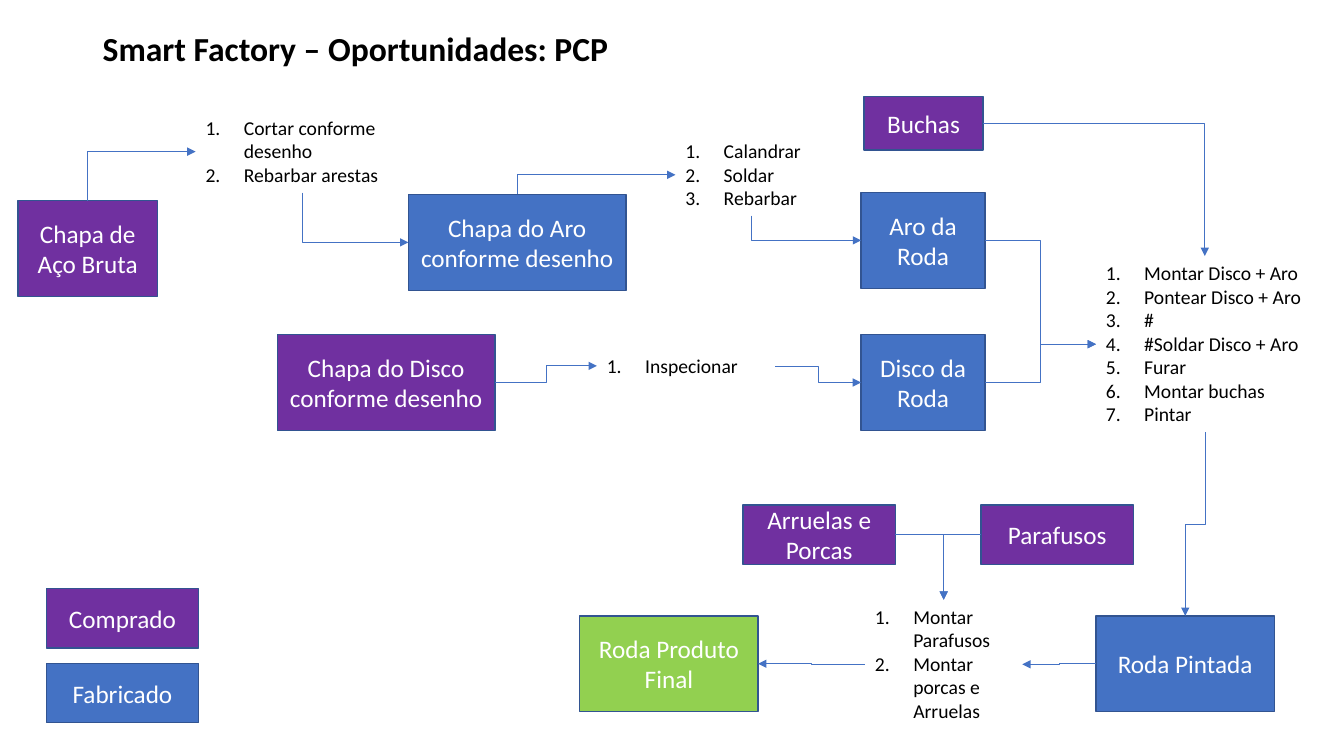
import pptx
import pptx.util
import pptx.dml.color
import pptx.enum.shapes
import pptx.enum.text
import pptx.oxml
import pptx.oxml.ns

Inches, Pt = pptx.util.Inches, pptx.util.Pt
TOP, LEFT, BOTTOM, RIGHT = range(4)

COLORS = {
    "bought": "7030A0",
    "made": "4472C4",
    "final": "92D050",
    "border": "325491",
    "arrow": "4472C4",
    "white": "FFFFFF",
    "black": "000000",
}

# name: (text, kind, left, top, width, height)
BOXES = {
    "raw": ("Chapa de Aço Bruta", "bought", 0.18, 1.99, 1.38, 0.95),
    "rim_plate": ("Chapa do Aro conforme desenho", "made", 4.05, 1.93, 2.16, 0.95),
    "rim": ("Aro da Roda", "made", 8.54, 1.91, 1.23, 0.95),
    "disc_plate": ("Chapa do Disco conforme desenho", "bought", 2.75, 3.32, 2.16, 0.95),
    "disc": ("Disco da Roda", "made", 8.54, 3.32, 1.23, 0.95),
    "painted": ("Roda Pintada", "made", 10.87, 6.11, 1.77, 0.95),
    "product": ("Roda Produto Final", "final", 5.75, 6.11, 1.77, 0.95),
    "screws": ("Parafusos", "bought", 9.73, 5.01, 1.51, 0.59),
    "washers": ("Arruelas e Porcas", "bought", 7.37, 5.01, 1.51, 0.59),
    "bushings": ("Buchas", "bought", 8.57, 0.96, 1.18, 0.53),
    "legend_bought": ("Comprado", "bought", 0.46, 5.84, 1.51, 0.59),
    "legend_made": ("Fabricado", "made", 0.46, 6.58, 1.51, 0.59),
}

# name: (steps, left, top, width, height)
STEPS = {
    "cut": (["Cortar conforme desenho", "Rebarbar arestas"], 1.94, 1.1, 2.12, 0.81),
    "roll": (["Calandrar", "Soldar", "Rebarbar"], 6.7, 1.33, 1.5, 0.81),
    "inspect": (["Inspecionar"], 5.92, 3.46, 1.77, 0.34),
    "weld": (["Montar Disco + Aro", "Pontear Disco + Aro", "#", "#Soldar Disco + Aro",
              "Furar", "Montar buchas", "Pintar"], 10.87, 2.54, 2.16, 1.75),
    "assemble": (["Montar Parafusos", "Montar porcas e Arruelas"], 8.58, 5.95, 1.56, 1.28),
}

# (from, side, to, side)
FLOWS = [
    ("raw", TOP, "cut", LEFT),
    ("cut", BOTTOM, "rim_plate", LEFT),
    ("rim_plate", TOP, "roll", LEFT),
    ("roll", BOTTOM, "rim", LEFT),
    ("disc_plate", RIGHT, "inspect", LEFT),
    ("inspect", RIGHT, "disc", LEFT),
    ("rim", RIGHT, "weld", LEFT),
    ("disc", RIGHT, "weld", LEFT),
    ("bushings", RIGHT, "weld", TOP),
    ("weld", BOTTOM, "painted", TOP),
    ("painted", LEFT, "assemble", RIGHT),
    ("screws", LEFT, "assemble", TOP),
    ("washers", RIGHT, "assemble", TOP),
    ("assemble", LEFT, "product", RIGHT),
]


def rgb(name):
    return pptx.dml.color.RGBColor.from_string(COLORS[name])


def write(p, text, color, **formats):
    r = p.add_run()
    r.text = text
    r.font.color.rgb = rgb(color)
    for key, value in {"name": "Calibri", **formats}.items():
        setattr(r.font, key, value)


def add_box(s, text, kind, *at):
    sp = s.shapes.add_shape(pptx.enum.shapes.MSO_SHAPE.RECTANGLE, *map(Inches, at))
    sp.shadow.inherit = False
    sp.fill.solid()
    sp.fill.fore_color.rgb = rgb(kind)
    sp.line.color.rgb = rgb("border")
    sp.line.width = Pt(1)
    tf = sp.text_frame
    tf.word_wrap = True
    tf.vertical_anchor = pptx.enum.text.MSO_ANCHOR.MIDDLE
    p = tf.paragraphs[0]
    p.alignment = pptx.enum.text.PP_ALIGN.CENTER
    write(p, text, "white", size=Pt(18))
    return sp


def add_text(s, lines, *at, numbered=False, **formats):
    sp = s.shapes.add_textbox(*map(Inches, at))
    tf = sp.text_frame
    tf.word_wrap = True
    tf.auto_size = pptx.enum.text.MSO_AUTO_SIZE.SHAPE_TO_FIT_TEXT
    for i, line in enumerate(lines):
        p = tf.add_paragraph() if i else tf.paragraphs[0]
        write(p, line, "black", **formats)
        if numbered:
            pPr = p._p.get_or_add_pPr()
            pPr.set("marL", str(Inches(0.38)))
            pPr.set("indent", str(-Inches(0.38)))
            add_xml(pPr, "buAutoNum", type="arabicPeriod")
    return sp


def add_xml(parent, tag, **attributes):
    child = pptx.oxml.parse_xml(f"<a:{tag} {pptx.oxml.ns.nsdecls('a')}/>")
    for key, value in attributes.items():
        child.set(key, value)
    parent.append(child)


def add_flow(s, start, start_side, end, end_side):
    cx = s.shapes.add_connector(pptx.enum.shapes.MSO_CONNECTOR.ELBOW, 0, 0, 0, 0)
    cx.begin_connect(start, start_side)
    cx.end_connect(end, end_side)
    cx.line.color.rgb = rgb("arrow")
    cx.line.width = Pt(0.5)
    add_xml(cx.line._get_or_add_ln(), "tailEnd", type="triangle")
    spPr = cx._element.spPr
    add_xml(spPr, "effectLst")

    # One bend when the two sides are perpendicular
    if start_side % 2 != end_side % 2:
        spPr.find(pptx.oxml.ns.qn("a:prstGeom")).set("prst", "bentConnector2")
    # A route that leaves vertically is a turned horizontal one
    if start_side in (TOP, BOTTOM):
        turn_upright(cx, spPr.find(pptx.oxml.ns.qn("a:xfrm")))


def turn_upright(cx, xfrm):
    dx, dy = cx.end_x - cx.begin_x, cx.end_y - cx.begin_y
    mid_x, mid_y = cx.begin_x + dx // 2, cx.begin_y + dy // 2
    width, height = abs(dy), abs(dx)
    frame = {"left": mid_x - width // 2, "top": mid_y - height // 2,
             "width": width, "height": height}
    for key, value in frame.items():
        setattr(cx, key, value)
    counter = dx > 0 and dy > 0
    turn = {"rot": 270 * 60000 if counter else 90 * 60000,
            "flipH": int(counter or dy < 0),
            "flipV": int(dx > 0 and not counter)}
    for key, value in turn.items():
        xfrm.set(key, str(value))


def main():
    prs = pptx.Presentation()
    prs.slide_width, prs.slide_height = Inches(13.33), Inches(7.5)
    s = prs.slides.add_slide(prs.slide_layouts[6])

    # Title
    add_text(s, ["Smart Factory – Oportunidades: PCP"], 0.92, 0.23, 9.79, 0.5,
             size=Pt(24), bold=True)

    # Parts, legend and work steps
    nodes = {name: add_box(s, *box) for name, box in BOXES.items()}
    for name, step in STEPS.items():
        nodes[name] = add_text(s, *step, numbered=True, size=Pt(14))

    # Process flow
    for start, start_side, end, end_side in FLOWS:
        add_flow(s, nodes[start], start_side, nodes[end], end_side)

    prs.save("out.pptx")


if __name__ == "__main__":
    main()
